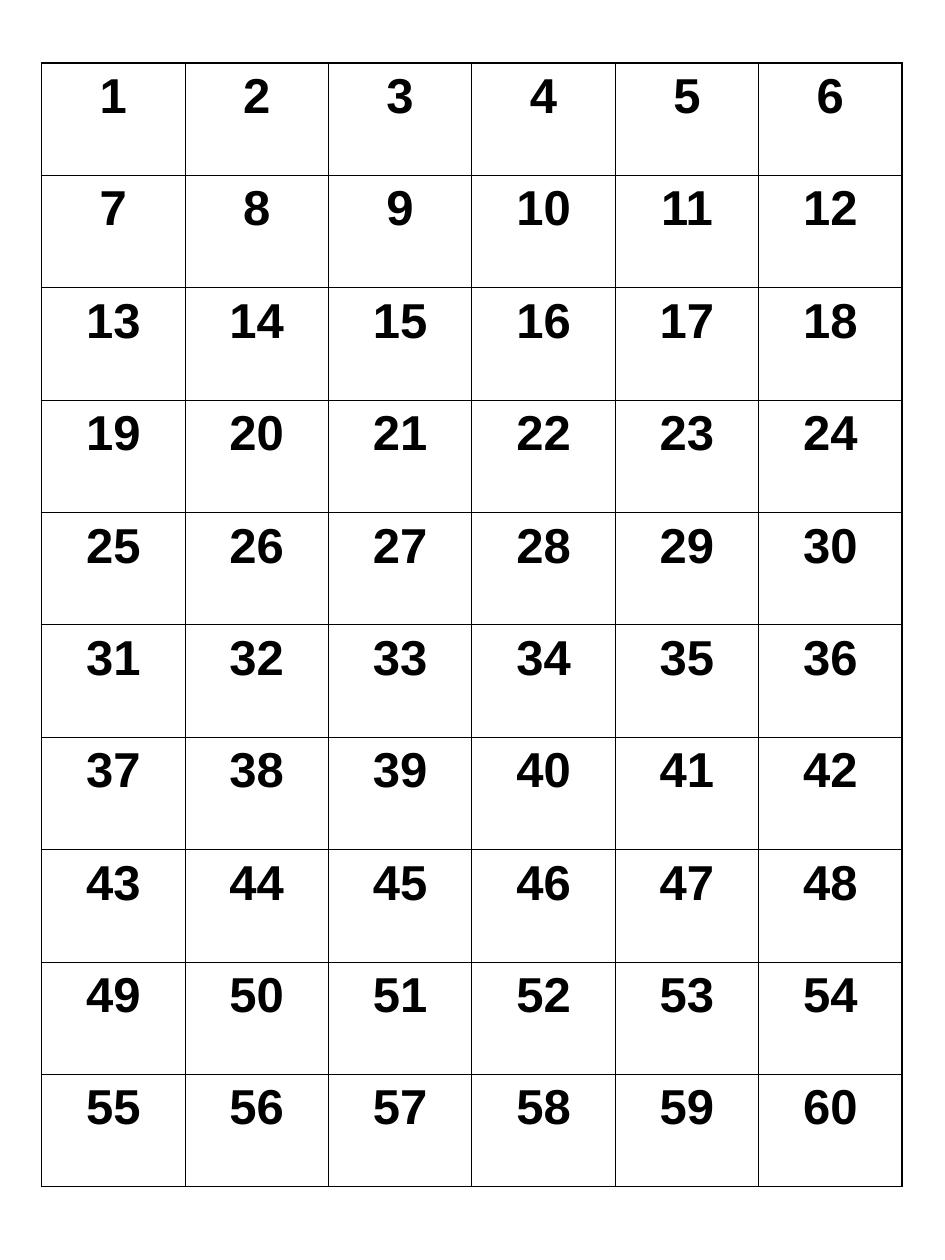
from lxml import etree
from pptx import Presentation
from pptx import util as u
from pptx.dml.color import RGBColor
from pptx.enum import text
from pptx.oxml.ns import qn

ROWS, COLUMNS = 10, 6
INK = "000000"
OUTER, INNER = 1.08, 0.45  # border widths in points


def colour(value):
    return RGBColor.from_string(value)


def set_border(cell, side, width):
    line = etree.SubElement(cell._tc.get_or_add_tcPr(), qn(f"a:ln{side}"),
                            w=str(u.Pt(width)))
    fill = etree.SubElement(line, qn("a:solidFill"))
    etree.SubElement(fill, qn("a:srgbClr"), val=INK)


def number_cell(cell, row, column):
    # Heavier border on the outside of the grid
    edges = {"L": column == 0, "R": column == COLUMNS - 1,
             "T": row == 0, "B": row == ROWS - 1}
    for side, outside in edges.items():
        set_border(cell, side, OUTER if outside else INNER)
    cell.fill.background()

    # Number
    para = cell.text_frame.paragraphs[0]
    para.text = str(row * COLUMNS + column + 1)
    para.alignment = text.PP_ALIGN.CENTER
    para.font.name = "Arial"
    para.font.size = u.Pt(28)
    para.font.bold = True
    para.font.color.rgb = colour(INK)


def number_grid(page, left, top, width, height):
    grid = page.shapes.add_table(ROWS, COLUMNS, left, top, width, height).table
    grid.first_row = False
    grid.horz_banding = False
    for row in range(ROWS):
        for column in range(COLUMNS):
            number_cell(grid.cell(row, column), row, column)


def main():
    deck = Presentation()
    deck.slide_width, deck.slide_height = u.Inches(7.5), u.Inches(10)
    page = deck.slides.add_slide(deck.slide_layouts[6])
    number_grid(page, u.Inches(0.33), u.Inches(0.5), u.Inches(6.83), u.Inches(8.92))
    deck.save("out.pptx")


if __name__ == "__main__":
    main()
